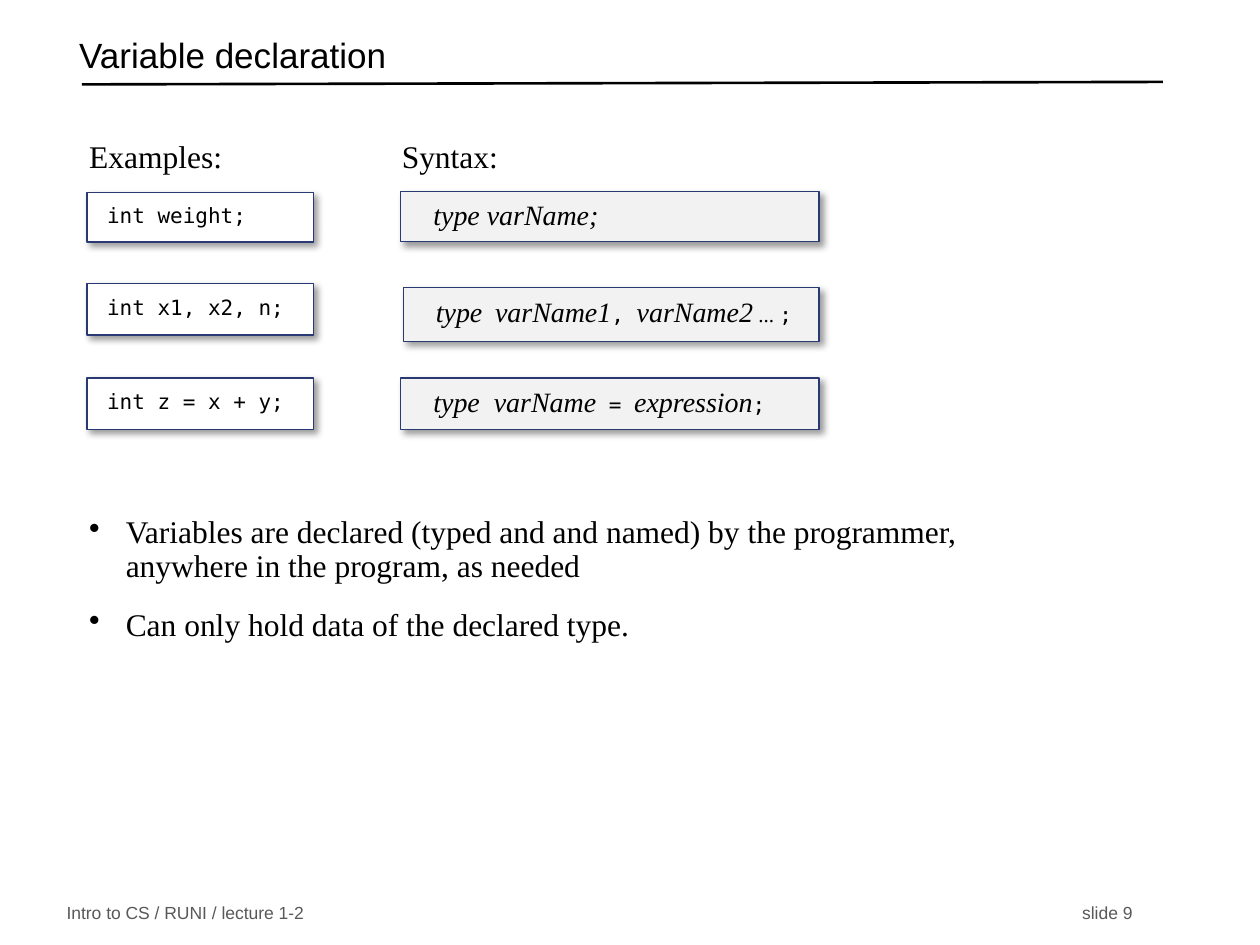
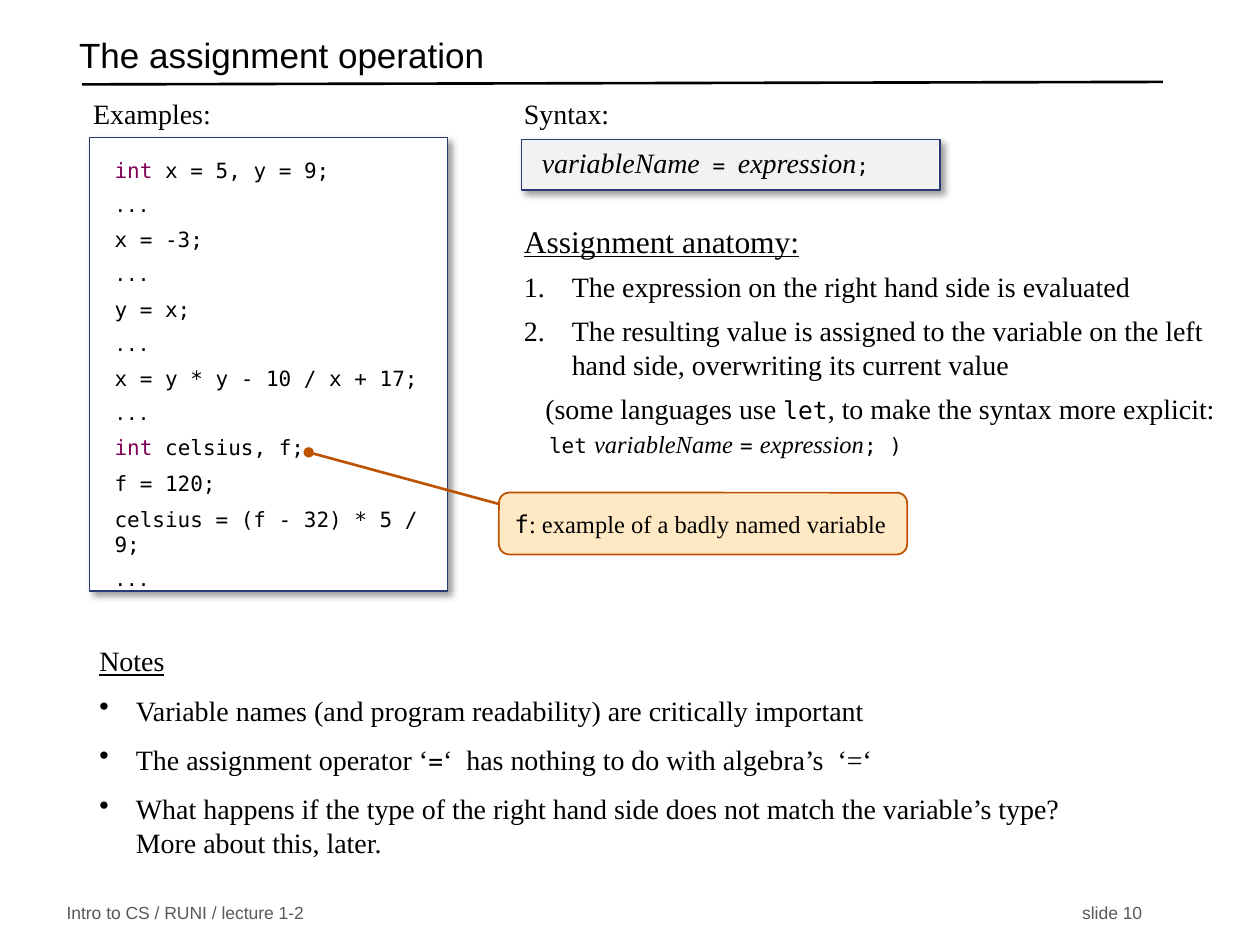
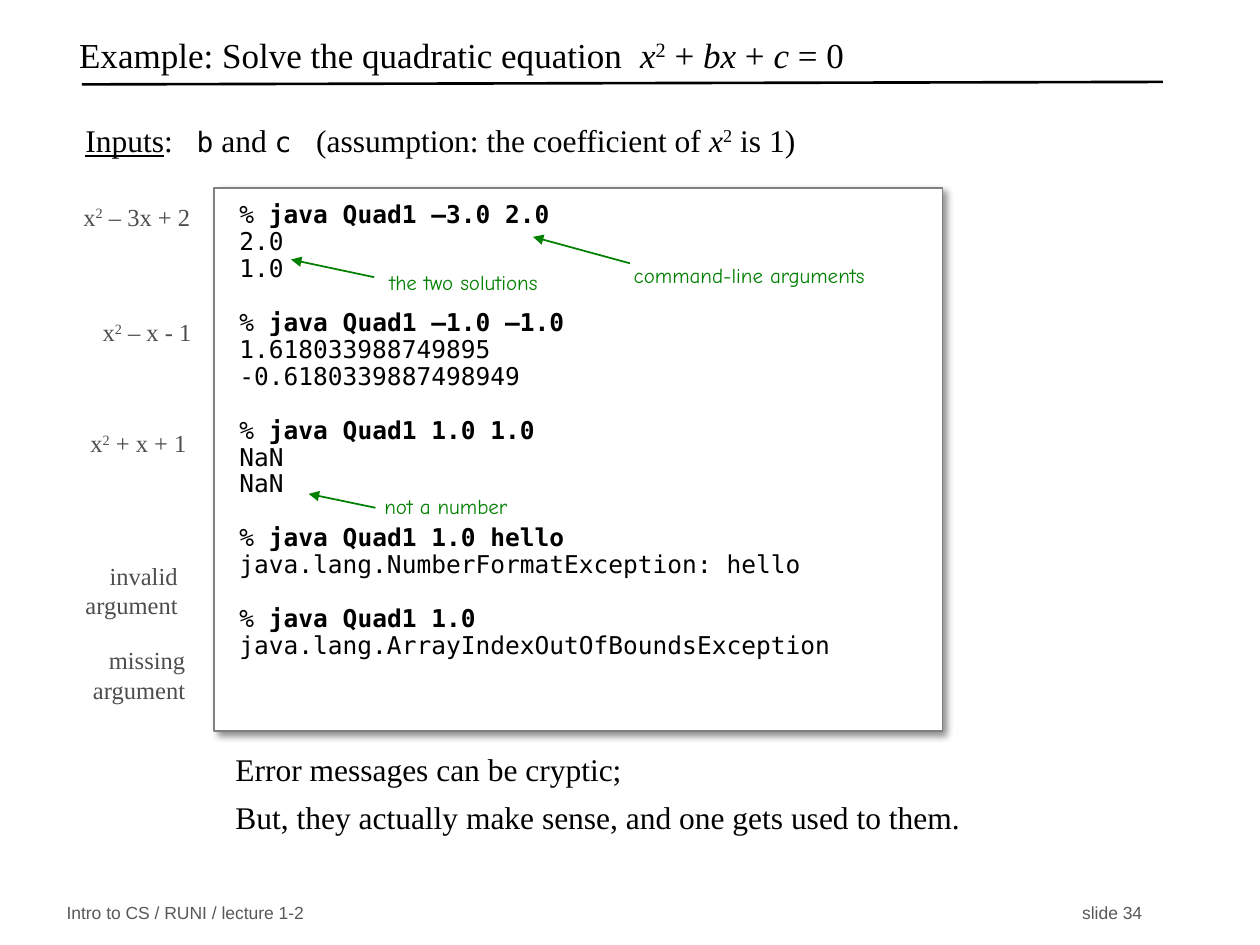
from lxml import etree
from pptx import Presentation
from pptx import util as u
from pptx.dml.color import RGBColor
from pptx.enum import shapes, text
from pptx.oxml.ns import qn

PX = 9144
BLACK = RGBColor(0x00, 0x00, 0x00)
WHITE = RGBColor(0xFF, 0xFF, 0xFF)
PALE = RGBColor(0xF2, 0xF2, 0xF2)
NAVY = RGBColor(0x29, 0x39, 0x73)
GRAY = RGBColor(0x80, 0x80, 0x80)
CREAM = RGBColor(0xFF, 0xE9, 0xC4)
RUST = RGBColor(0xBD, 0x52, 0x01)
GREEN = RGBColor(0x00, 0x80, 0x00)
PLUM = RGBColor(0x7F, 0x00, 0x55)
SLATE = RGBColor(0x4D, 0x4D, 0x4D)
ASH = RGBColor(0x59, 0x59, 0x59)

FONTS = {"A": "Arial", "C": "Comic Neue", "M": "DejaVu Sans Mono", "T": "Times New Roman"}
TONES = {"g": GREEN, "p": PLUM, "s": SLATE, "a": ASH}
HANGS = {"•": 29, "1.": 38}
RECT = shapes.MSO_SHAPE.RECTANGLE
ROUND = shapes.MSO_SHAPE.ROUNDED_RECTANGLE
MID = text.MSO_ANCHOR.MIDDLE
TOP = text.MSO_ANCHOR.TOP
LEFT = text.PP_ALIGN.LEFT
RIGHT = text.PP_ALIGN.RIGHT


def block(page, at, rows, kind=None, fill=WHITE, edge=NAVY, width=0.75, shade=40,
          inset=(10, 5, 10, 5), anchor=TOP, align=LEFT, gap=0, lead=None):
    spot = [n * PX for n in at]
    if kind is None:
        box = page.shapes.add_textbox(*spot)
    else:
        box = page.shapes.add_shape(kind, *spot)
        box.fill.solid()
        box.fill.fore_color.rgb = fill
        box.line.color.rgb = edge
        box.line.width = u.Pt(width)
        box.shadow.inherit = False
        if shade:
            glow = etree.SubElement(box._element.spPr.find(qn("a:effectLst")), qn("a:outerShdw"),
                                    blurRad="50800", dist="38100", dir="2700000", algn="tl")
            tint = etree.SubElement(glow, qn("a:srgbClr"), val="000000")
            etree.SubElement(tint, qn("a:alpha"), val=str(shade * 1000))
    frame = box.text_frame
    frame.word_wrap = True
    frame.vertical_anchor = anchor
    frame.margin_left, frame.margin_top, frame.margin_right, frame.margin_bottom = [n * PX for n in inset]
    for i, row in enumerate(rows):
        para = frame.paragraphs[0] if i == 0 else frame.add_paragraph()
        mark, *parts = row.split("{")
        if mark:
            props = para._p.get_or_add_pPr()
            props.set("marL", str(HANGS[mark] * PX))
            props.set("indent", str(-HANGS[mark] * PX))
            if mark == "1.":
                etree.SubElement(props, qn("a:buAutoNum"), type="arabicPeriod")
            else:
                etree.SubElement(props, qn("a:buChar"), char=mark)
        para.alignment = align
        if lead:
            para.line_spacing = lead
        if i and gap:
            para.space_before = u.Pt(gap)
        for part in parts:
            style, words = part.split("}")
            for k, line in enumerate(words.split("\n")):
                if k:
                    para.add_line_break()
                run = para.add_run()
                run.text = line
                font = run.font
                font.name = FONTS[style[0]]
                font.size = u.Pt(int(style[1:3]))
                font.bold = "b" in style
                font.italic = "i" in style
                font.underline = "u" in style
                font.color.rgb = TONES.get(style[-1], BLACK)
                if "^" in style:
                    run._r.get_or_add_rPr().set("baseline", "30000")
    return box


def link(page, ends, color, width, tip=None):
    wire = page.shapes.add_connector(shapes.MSO_CONNECTOR.STRAIGHT, *[n * PX for n in ends])
    wire.line.color.rgb = color
    wire.line.width = u.Pt(width)
    props = wire._element.spPr
    if tip:
        etree.SubElement(props.find(qn("a:ln")), qn("a:tailEnd"), type=tip)
    etree.SubElement(props, qn("a:effectLst"))


deck = Presentation()
deck.slide_width = 1000 * PX
deck.slide_height = 750 * PX

heads = [
    (9, "{A20}Variable declaration"),
    (10, "{A20}The assignment operation"),
    (34, "{T20}Example: Solve the quadratic equation  {T20i}x{T20^}2{T20} + {T20i}bx{T20} + {T20i}c{T20} = 0"),
]
pages = []
for num, head in heads:
    page = deck.slides.add_slide(deck.slide_layouts[6])
    link(page, (65, 67, 923, 65), BLACK, 1.5)
    block(page, (43, 714, 400, 21), ["{A10a}Intro to CS / RUNI / lecture 1-2"], anchor=MID)
    block(page, (849, 714, 100, 21), [f"{{A10a}}slide {num}"], anchor=MID)
    block(page, (53, 22, 860, 50), [head], anchor=MID, lead=0.7)
    pages.append(page)
vars_page, set_page, quad_page = pages

block(vars_page, (61, 405, 747, 163), [
    "•{T18}Variables are declared (typed and and named) by the programmer, \nanywhere in the program, as needed",
    "•{T18}Can only hold data of the declared type.",
], gap=14, lead=0.9)
for left, label in [(61, "Examples:"), (309, "Syntax:")]:
    block(vars_page, (left, 104, 175, 42), ["{T18}" + label])
forms = [
    ((318, 152, 332, 40), "{T16i}type varName;"),
    ((320, 228, 330, 43), "{T16i}type{M12} {T16i}varName1{M12}, {T16i}varName2{T12} ... {M12};"),
    ((318, 300, 332, 41), "{T16i}type  varName{M12} = {T16i}expression{M12};"),
]
for at, form in forms:
    block(vars_page, at, [form], RECT, PALE, inset=(26, 25, 10, 29), anchor=MID)
codes = [(153, 39, "int weight;"), (225, 41, "int x1, x2, n;"), (300, 41, "int z = x + y;")]
for top, high, code in codes:
    block(vars_page, (69, top, 180, high), ["{M12}" + code], RECT, inset=(16, 25, 0, 29), anchor=MID)

block(set_page, (71, 109, 284, 360), [
    "{M12p}int{M12} x = 5, y = 9;",
    "{M11}...",
    "{M12}x = -3;",
    "{M11}...",
    "{M12}y = x;",
    "{M11}...",
    "{M12}x = y * y - 10 / x + 17;",
    "{M11}...",
    "{M12p}int{M12} celsius, f;",
    "{M12}f = 120;",
    "{M12}celsius = (f - 32) * 5 / 9;",
    "{M11}...",
], RECT, inset=(20, 16, 10, 12), gap=6)
for left, label in [(64, "Examples:"), (406, "Syntax:")]:
    block(set_page, (left, 72, 175, 42), ["{T16}" + label])
block(set_page, (396, 391, 324, 49), ["{M14}f{T14}: example of a badly named variable"],
      ROUND, CREAM, RUST, 1, 0, (10, 5, 0, 5), MID)
link(set_page, (396, 400, 245, 359), RUST, 1.5, "oval")
block(set_page, (69, 506, 842, 226), [
    "{T16u}Notes",
    "•{T16}Variable names (and program readability) are critically important",
    "•{T16}The assignment operator ‘{M14}={T16}‘  has nothing to do with algebra’s  ‘=‘",
    "•{T16}What happens if the type of the right hand side does not match the variable’s type?\n"
    "More about this, later.",
], gap=9)
block(set_page, (414, 111, 332, 40), ["{T16i}variableName{M12} = {T16i}expression{M12};"],
      RECT, PALE, inset=(16, 25, 0, 29), anchor=MID)
steps = block(set_page, (406, 171, 576, 213), [
    "{T18u}Assignment anatomy:",
    "1.{T16}The expression on the right hand side is evaluated",
    "1.{T16}The resulting value is assigned to the variable on the left hand side, "
    "overwriting its current value",
    "{T16}(some languages use {M14}let{T16}, to make the syntax more explicit:",
    "{M12}let{T16} {T14i}variableName{T16} {M12}={T16} {T14i}expression{M12}; )",
], gap=6)
aside = steps.text_frame.paragraphs[3:]
for para, left in zip(aside, (17, 20)):
    para._p.get_or_add_pPr().set("marL", str(left * PX))
aside[1].space_before = u.Pt(0)

calls = [
    ("–3.0 2.0", ["2.0", "1.0"]),
    ("–1.0 –1.0", ["1.618033988749895", "-0.6180339887498949"]),
    ("1.0 1.0", ["NaN", "NaN"]),
    ("1.0 hello", ["java.lang.NumberFormatException: hello"]),
    ("1.0", ["java.lang.ArrayIndexOutOfBoundsException"]),
]
rows = []
for args, outs in calls:
    rows.append("{M14}% {M14b}java Quad1 " + args)
    rows += ["{M14}" + out for out in outs]
shell = block(quad_page, (170, 149, 578, 431), rows, RECT, edge=GRAY, width=1, shade=43,
              inset=(20, 11, 20, 20), lead=u.Pt(15.4))
for para in shell.text_frame.paragraphs[1:]:
    if para.text.startswith("%"):
        para.space_before = u.Pt(15.4)

sides = [
    ((33, 154, 129, 35), "{T14s}x{T14^s}2{T14s} – 3x + 2"),
    ((51, 246, 112, 35), "{T14s}x{T14^s}2{T14s} – x - 1"),
    ((47, 334, 112, 35), "{T14s}x{T14^s}2{T14s} + x + 1"),
    ((40, 439, 112, 58), "{T14s}invalid argument"),
    ((46, 506, 112, 58), "{T14s}missing\nargument"),
]
for at, side in sides:
    block(quad_page, at, [side], inset=(11, 6, 11, 6), align=RIGHT)
tips = [
    ((492, 202, 247, 32), "command-line arguments", (500, 209, 423, 188)),
    ((298, 208, 206, 32), "the two solutions", (297, 220, 231, 206)),
    ((294, 386, 147, 32), "not a number", (298, 403, 245, 392)),
]
for at, tip, ends in tips:
    block(quad_page, at, ["{C12g}" + tip], inset=(11, 6, 11, 6))
    link(quad_page, ends, GREEN, 1, "triangle")
block(quad_page, (177, 590, 715, 79), [
    "{T18}Error messages can be cryptic;",
    "{T18}But, they actually make sense, and one gets used to them.",
], gap=6)
block(quad_page, (58, 91, 858, 57), [
    "{T18u}Inputs{T18}:   {M16}b{T18} and {M16}c {T18} (assumption: the coefficient of "
    "{T18i}x{T18^}2{T18} is 1)",
])

deck.save("out.pptx")
